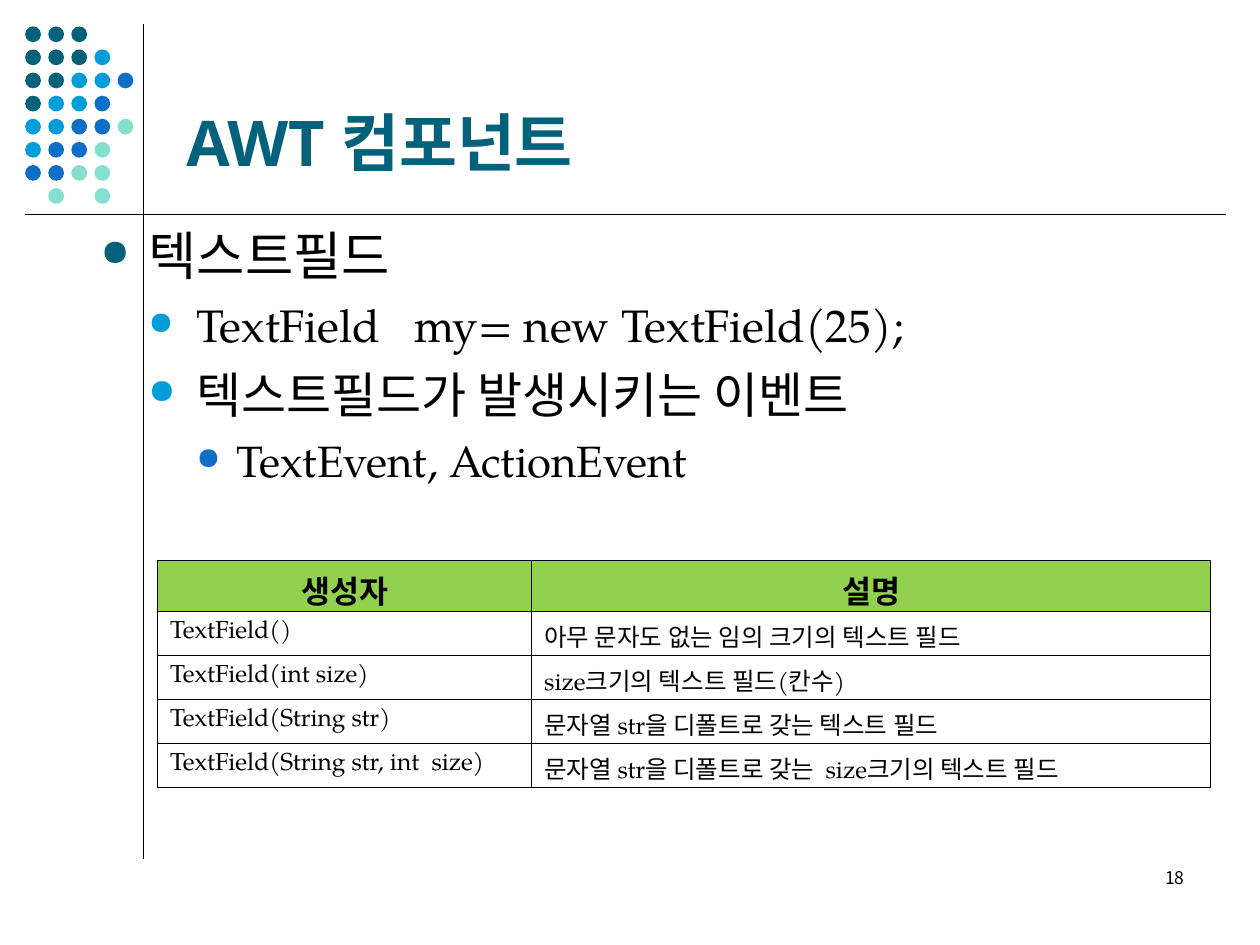
from lxml import etree
from pptx import Presentation
from pptx.dml.color import RGBColor
from pptx.enum.shapes import MSO_CONNECTOR, MSO_SHAPE
from pptx.enum.text import MSO_ANCHOR, PP_ALIGN
from pptx.oxml import parse_xml
from pptx.oxml.ns import nsdecls, qn
from pptx.util import Pt

STRAIGHT = MSO_CONNECTOR.STRAIGHT
OVAL = MSO_SHAPE.OVAL
TOP, MIDDLE, BOTTOM = MSO_ANCHOR.TOP, MSO_ANCHOR.MIDDLE, MSO_ANCHOR.BOTTOM
LEFT, CENTER, RIGHT = PP_ALIGN.LEFT, PP_ALIGN.CENTER, PP_ALIGN.RIGHT

COLORS = {
    "black": "000000",
    "white": "FFFFFF",
    "teal": "04617B",
    "sky": "009DD9",
    "blue": "0F6FC6",
    "mint": "85DFD0",
    "green": "92D050",
}
SERIF = "TeX Gyre Pagella"
SANS = "Noto Sans"
KOREAN = "Noto Sans CJK KR"

DOT_KEYS = {"t": "teal", "s": "sky", "b": "blue", "m": "mint"}
DOT_ROWS = ["ttt", "ttts", "ttssb", "tssb", "ssbbm", "sbbm", "bbmm", " m m"]
DOT_SIZE, DOT_PITCH = 9, 13.2
DOT_LEFT, DOT_TOP = 14.4, 15.1

OUTLINE = [
    ("텍스트필드", 0, 30, 0),
    ("TextField   my= new TextField(25);", 1, 26, 6.5),
    ("텍스트필드가 발생시키는 이벤트", 1, 28, 7),
    ("TextEvent, ActionEvent", 2, 25, 6.2),
]
LEVELS = [(27.4, 27.4, "teal"), (54.7, 27.4, "sky"), (77.8, 23, "blue")]

TABLE_ROWS = [
    ("생성자", "설명"),
    ("TextField()", "아무 문자도 없는 임의 크기의 텍스트 필드"),
    ("TextField(int size)", "size크기의 텍스트 필드(칸수)"),
    ("TextField(String str)", "문자열 str을 디폴트로 갖는 텍스트 필드"),
    ("TextField(String str, int  size)", "문자열 str을 디폴트로 갖는  size크기의 텍스트 필드"),
]
COLUMN_WIDTHS = [213.8, 388.1]
ROW_HEIGHTS = [28.8] + [25.2] * 4


def rgb(name):
    """Return the named colour."""
    return RGBColor.from_string(COLORS[name])


def write_text(paragraph, text, size, font=SERIF, color="black", bold=False, align=LEFT):
    """Put one formatted run into a paragraph."""
    paragraph.alignment = align
    run = paragraph.add_run()
    run.text = text
    run.font.size = Pt(size)
    run.font.name = font
    run.font.bold = bold
    run.font.color.rgb = rgb(color)
    east_asian = etree.SubElement(run.font._element, qn("a:ea"))
    east_asian.set("typeface", KOREAN)


def add_text_box(slide, left, top, width, height, anchor=TOP):
    """Add a wrapping text box and return its text frame."""
    shape = slide.shapes.add_textbox(Pt(left), Pt(top), Pt(width), Pt(height))
    frame = shape.text_frame
    frame.word_wrap = True
    frame.vertical_anchor = anchor
    return frame


def add_line(slide, start, end):
    """Add a thin black straight line."""
    line = slide.shapes.add_connector(STRAIGHT, *(Pt(value) for value in start + end))
    line.line.width = Pt(0.75)
    line.line.color.rgb = rgb("black")
    etree.SubElement(line._element.spPr, qn("a:effectLst"))


def add_dots(slide):
    """Add the grid of coloured dots as one group."""
    group = slide.shapes.add_group_shape()
    for row, keys in enumerate(DOT_ROWS):
        for column, key in enumerate(keys):
            if key in DOT_KEYS:
                left = Pt(DOT_LEFT + column * DOT_PITCH)
                top = Pt(DOT_TOP + row * DOT_PITCH)
                dot = group.shapes.add_shape(OVAL, left, top, Pt(DOT_SIZE), Pt(DOT_SIZE))
                dot.shadow.inherit = False
                dot.fill.solid()
                dot.fill.fore_color.rgb = rgb(DOT_KEYS[key])
                dot.line.fill.background()


def set_bullet(paragraph, level):
    """Give a paragraph the indent and round bullet of its level."""
    margin, hanging, color = LEVELS[level]
    paragraph.level = level
    properties = paragraph._p.get_or_add_pPr()
    properties.set("marL", str(Pt(margin)))
    properties.set("indent", str(-Pt(hanging)))
    for xml in (
        f'<a:buClr {nsdecls("a")}><a:srgbClr val="{COLORS[color]}"/></a:buClr>',
        f'<a:buSzPct {nsdecls("a")} val="70000"/>',
        f'<a:buFont {nsdecls("a")} typeface="OpenSymbol"/>',
        f'<a:buChar {nsdecls("a")} char="●"/>',
    ):
        properties.append(parse_xml(xml))


def add_outline(slide):
    """Add the bulleted outline."""
    frame = add_text_box(slide, 50.4, 123.8, 669.6, 347)
    for index, (text, level, size, space) in enumerate(OUTLINE):
        paragraph = frame.add_paragraph() if index else frame.paragraphs[0]
        set_bullet(paragraph, level)
        paragraph.space_before = Pt(space)
        write_text(paragraph, text, size)


def set_borders(cell):
    """Draw a thin black border on every side of a cell."""
    properties = cell._tc.get_or_add_tcPr()
    for side in ("lnL", "lnR", "lnT", "lnB"):
        properties.append(parse_xml(
            f'<a:{side} {nsdecls("a")} w="{Pt(0.45)}"><a:solidFill>'
            f'<a:srgbClr val="{COLORS["black"]}"/></a:solidFill></a:{side}>'))


def add_constructor_table(slide):
    """Add the table of constructors and their descriptions."""
    table = slide.shapes.add_table(
        len(TABLE_ROWS), len(COLUMN_WIDTHS), Pt(90), Pt(320.4),
        Pt(sum(COLUMN_WIDTHS)), Pt(sum(ROW_HEIGHTS))).table
    table.first_row = False
    table.horz_banding = False
    for column, width in zip(table.columns, COLUMN_WIDTHS):
        column.width = Pt(width)
    for row_index, texts in enumerate(TABLE_ROWS):
        table.rows[row_index].height = Pt(ROW_HEIGHTS[row_index])
        header = row_index == 0
        for column_index, text in enumerate(texts):
            cell = table.cell(row_index, column_index)
            set_borders(cell)
            cell.fill.solid()
            cell.fill.fore_color.rgb = rgb("green" if header else "white")
            cell.vertical_anchor = MIDDLE
            write_text(cell.text_frame.paragraphs[0], text, 18 if header else 14,
                       bold=header, align=CENTER if header else LEFT)


def main():
    """Build and save the slide."""
    presentation = Presentation()
    presentation.slide_width, presentation.slide_height = Pt(720), Pt(540)
    slide = presentation.slides.add_slide(presentation.slide_layouts[6])
    add_line(slide, (82.1, 13.7), (82.1, 491))
    add_dots(slide)
    add_line(slide, (14.4, 122.4), (700.6, 122.4))
    title = add_text_box(slide, 99.4, 15.1, 594, 90.7, anchor=BOTTOM)
    write_text(title.paragraphs[0], "AWT 컴포넌트", 36, font=SANS, color="teal", bold=True)
    add_outline(slide)
    number = add_text_box(slide, 516.2, 491.8, 167.8, 36)
    write_text(number.paragraphs[0], "18", 10, font=KOREAN, align=RIGHT)
    add_constructor_table(slide)
    presentation.save("out.pptx")


if __name__ == "__main__":
    main()
